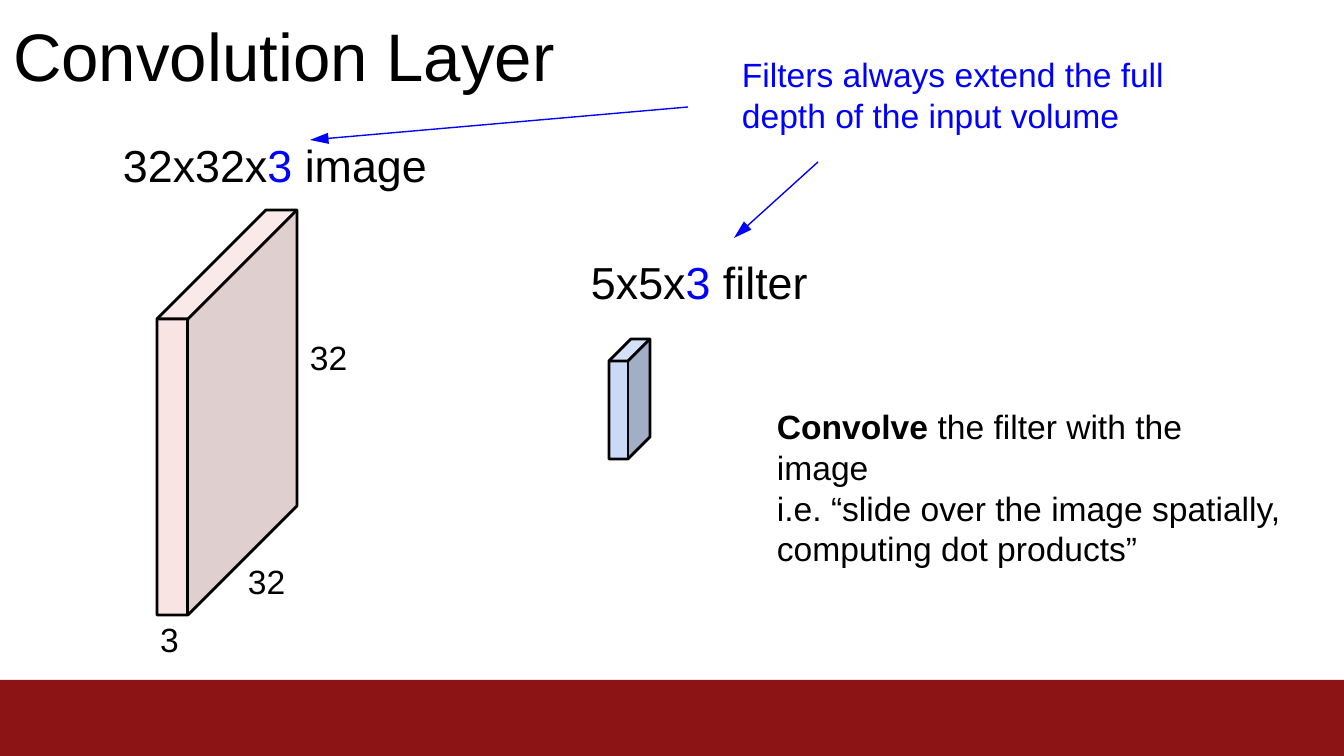
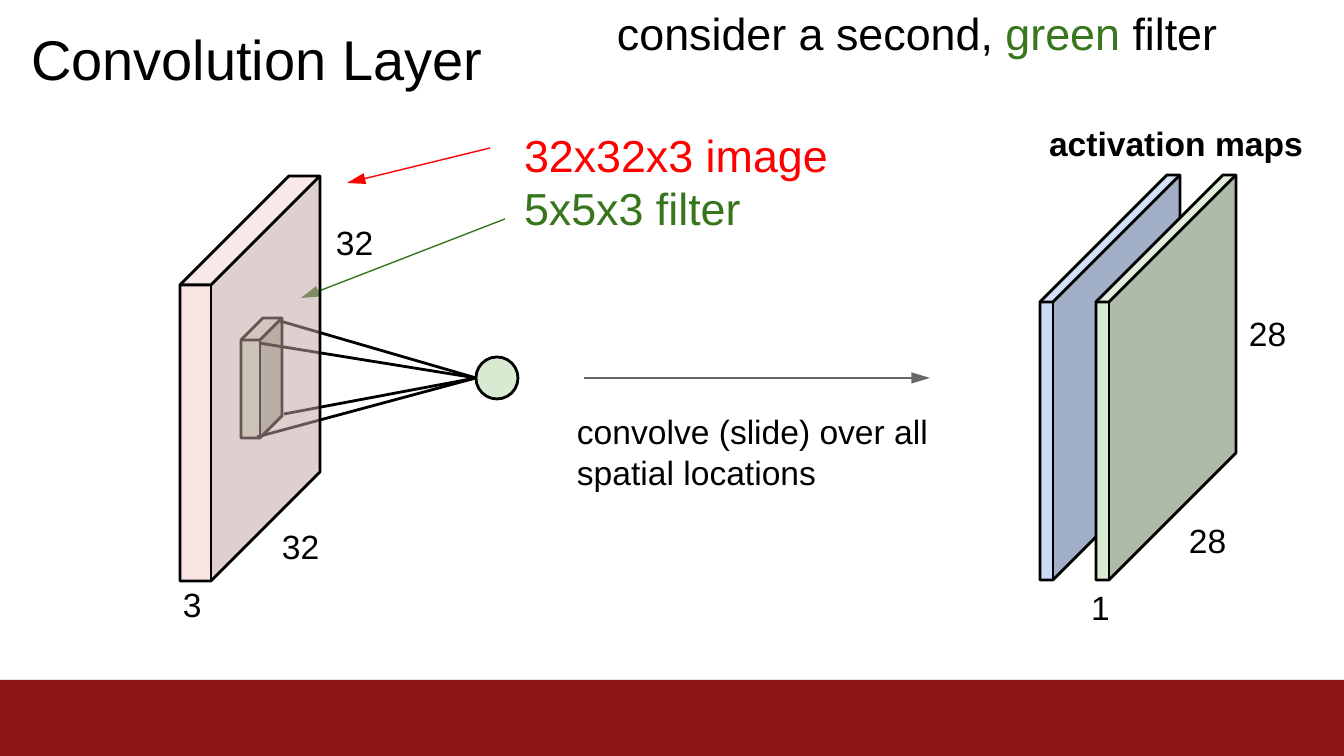
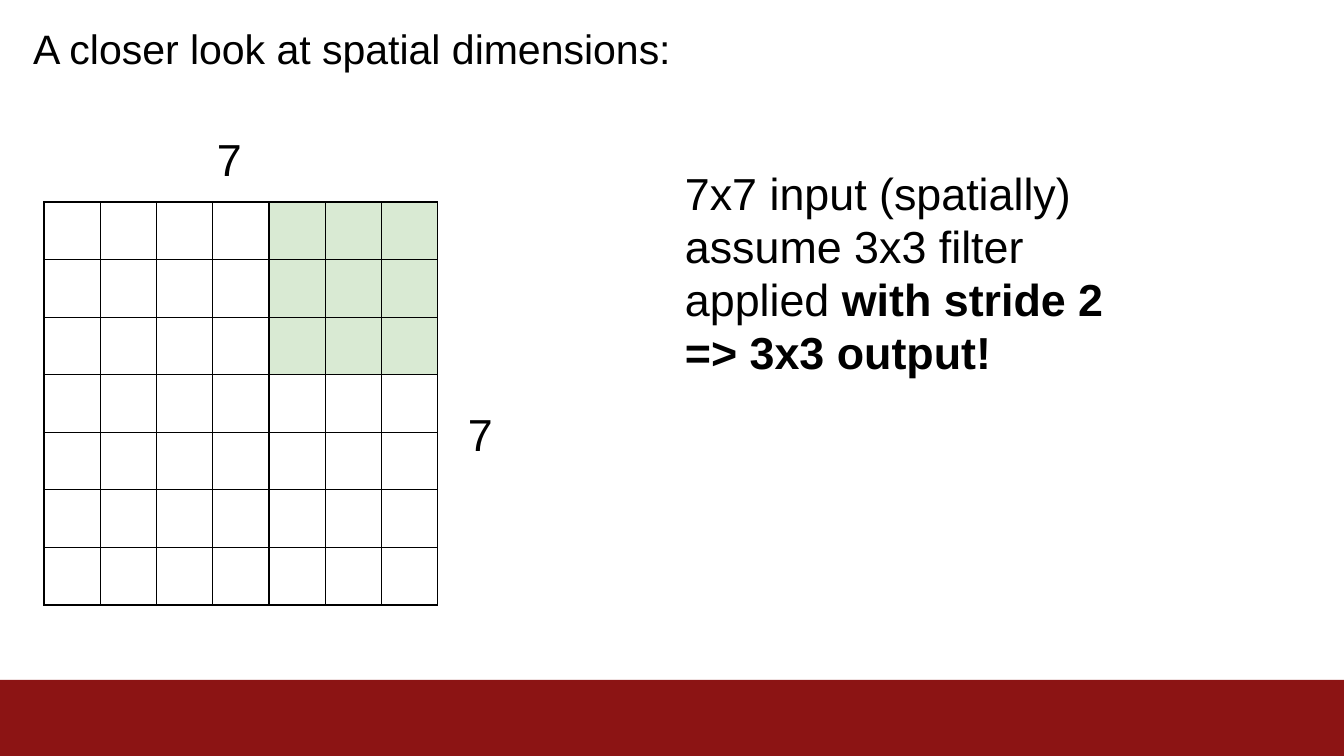
"""Build three slides on convolution layers and the spatial size of their output."""
from lxml.etree import SubElement
from pptx import Presentation
from pptx.dml.color import RGBColor
from pptx.enum.shapes import MSO_CONNECTOR as Connector, MSO_SHAPE as Shape
from pptx.enum.text import MSO_AUTO_SIZE as AutoSize
from pptx.oxml.ns import qn
from pptx.util import Emu, Pt

SCALE = 914400 / 134.4
WIDTH, HEIGHT = 1344, 756
BAND_TOP = 680
FONT = "Arial"
BLACK, BAND, GREY = "000000", "8C1414", "666666"
BLUE, RED, GREEN, PALE_GREEN = "0000FF", "FF0000", "37761C", "D9EAD3"

# Faces are front, side, top, then opacity in percent.
PINK_FACES = ("F4CCCC", "C3A3A3", "F6D6D6", 52)
BLUE_FACES = ("C9DAF7", "A0AEC6", "D3E1F9", 100)
GREEN_FACES = (PALE_GREEN, "ADBBA8", "E0EEDB", 100)

# Blocks are left, top and size of the front face, depth, faces.
IMAGE_SIZE = (31, 296, 109, PINK_FACES)
FILTER_SIZE = (19, 98, 22)
MAP_SIZE = (13, 278, 127)

# Texts are left, top, width, lines, point size, paragraphs of (words, colour, bold) runs.
FILTER_DEPTH = {
    "blocks": [(157, 319, *IMAGE_SIZE), (609, 361, *FILTER_SIZE, BLUE_FACES)],
    "arrows": [(818, 162, 734, 238, BLUE), (688, 107, 310, 140, BLUE)],
    "texts": [
        (13, 14, 560, 1, 36, [[("Convolution Layer",)]]),
        (123, 138, 320, 1, 24, [[("32x32x",), ("3 ", BLUE), ("image",)]]),
        (591, 255, 230, 1, 24, [[("5x5x",), ("3 ", BLUE), ("filter",)]]),
        (742, 54, 432, 2, 18,
         [[("Filters always extend the full depth of the input volume", BLUE)]]),
        (777, 406, 512, 4, 18,
         [[("Convolve ", BLACK, True), ("the filter with the",)],
          [("image",)],
          [("i.e. “slide over the image spatially, computing dot products”",)]]),
        (310, 337, 42, 1, 18, [[("32",)]]),
        (248, 561, 42, 1, 18, [[("32",)]]),
        (160, 619, 23, 1, 18, [[("3",)]]),
    ],
}
SECOND_FILTER = {
    "blocks": [(1040, 302, *MAP_SIZE, BLUE_FACES), (1096, 302, *MAP_SIZE, GREEN_FACES),
               (241, 340, *FILTER_SIZE, GREEN_FACES)],
    "arrows": [(490, 148, 347, 183, RED), (505, 219, 301, 298, GREEN),
               (584, 378, 930, 378, GREY)],
    "texts": [
        (31, 24, 460, 1, 30, [[("Convolution Layer",)]]),
        (617, 6, 610, 1, 24,
         [[("consider a second, ",), ("green ", GREEN), ("filter",)]]),
        (524, 128, 313, 2, 24, [[("32x32x3 image ", RED), ("5x5x3 filter", GREEN)]]),
        (577, 411, 358, 2, 18, [[("convolve (slide) over all spatial locations",)]]),
        (1049, 123, 262, 1, 18, [[("activation maps", BLACK, True)]]),
        (336, 222, 42, 1, 18, [[("32",)]]),
        (282, 526, 42, 1, 18, [[("32",)]]),
        (183, 584, 23, 1, 18, [[("3",)]]),
        (1249, 313, 42, 1, 18, [[("28",)]]),
        (1189, 520, 42, 1, 18, [[("28",)]]),
        (1091, 587, 23, 1, 18, [[("1",)]]),
    ],
}
SPATIAL_SIZE = {
    "blocks": [],
    "arrows": [],
    "texts": [
        (33, 23, 655, 1, 22, [[("A closer look at spatial dimensions:",)]]),
        (685, 166, 430, 4, 24,
         [[("7x7 input (spatially) assume 3x3 filter applied ",),
           ("with stride 2", BLACK, True)],
          [("=> 3x3 output!", BLACK, True)]]),
        (217, 132, 29, 1, 24, [[("7",)]]),
        (468, 407, 29, 1, 24, [[("7",)]]),
    ],
}
FRONT_IMAGE = (180, 285, *IMAGE_SIZE)
NEURON_LEFT, NEURON_MIDDLE, NEURON_SIZE = 476, 378, 42
RAY_STARTS = [(257, 437), (259, 343), (280, 321), (284, 414)]
INPUT_GRID = (44, 202, 394, 403)
CELLS, FILTER_CELLS = 7, 3


def px(length):
    return Emu(round(length * SCALE))


def rgb(code):
    return RGBColor.from_string(code)


def paint(shape, fill=None, opacity=100, line=None):
    shape.shadow.inherit = False
    if fill:
        shape.fill.solid()
        shape.fill.fore_color.rgb = rgb(fill)
        if opacity < 100:
            color = shape.fill._xPr.find(qn("a:solidFill"))[0]
            SubElement(color, qn("a:alpha"), val=str(opacity * 1000))
    else:
        shape.fill.background()
    if line:
        shape.line.color.rgb = rgb(line)
        shape.line.width = Pt(1.5)
    else:
        shape.line.fill.background()


def add_outline(slide, paths):
    (start, *rest), *others = paths
    builder = slide.shapes.build_freeform(*start, scale=SCALE)
    builder.add_line_segments(rest, close=start == rest[-1])
    for first, *following in others:
        builder.move_to(*first)
        builder.add_line_segments(following, close=False)
    return builder.convert_to_shape()


def add_block(slide, left, top, width, height, depth, faces):
    *colors, opacity = faces
    right, bottom = left + width, top + height
    far_left, far_right, far_top = left + depth, right + depth, top - depth
    far_bottom = bottom - depth
    front = [(left, top), (right, top), (right, bottom), (left, bottom), (left, top)]
    side = [(right, top), (far_right, far_top), (far_right, far_bottom),
            (right, bottom), (right, top)]
    lid = [(left, top), (far_left, far_top), (far_right, far_top),
           (right, top), (left, top)]
    for face, color in zip((front, side, lid), colors):
        paint(add_outline(slide, [face]), color, opacity)
    rim = lid[:3] + side[2:4] + [(left, bottom), (left, top)]
    edges = [rim, [(left, top), (right, top), (far_right, far_top)],
             [(right, top), (right, bottom)]]
    paint(add_outline(slide, edges), line=BLACK)


def add_line(slide, x1, y1, x2, y2, color, weight):
    line = slide.shapes.add_connector(Connector.STRAIGHT, px(x1), px(y1), px(x2), px(y2))
    line.line.color.rgb = rgb(color)
    line.line.width = Pt(weight)
    SubElement(line._element.spPr, qn("a:effectLst"))
    return line


def add_arrow(slide, x1, y1, x2, y2, color):
    arrow = add_line(slide, x1, y1, x2, y2, color, 0.75)
    SubElement(arrow.line._get_or_add_ln(), qn("a:tailEnd"),
               type="triangle", w="med", len="lg")


def add_text(slide, left, top, width, lines, size, paragraphs):
    height = lines * size * 2.2
    frame = slide.shapes.add_textbox(px(left), px(top), px(width), px(height)).text_frame
    frame.word_wrap = True
    frame.auto_size = AutoSize.NONE
    frame.margin_left = frame.margin_top = frame.margin_right = frame.margin_bottom = 0
    for index, runs in enumerate(paragraphs):
        paragraph = frame.add_paragraph() if index else frame.paragraphs[0]
        if lines > 1:
            paragraph.line_spacing = Pt(28.5) if size == 24 else 1.01
        for words, *style in runs:
            color, bold = (*style, *(BLACK, False)[len(style):])
            run = paragraph.add_run()
            run.text = words
            run.font.name, run.font.size, run.font.bold = FONT, Pt(size), bold
            run.font.color.rgb = rgb(color)


def add_neuron(slide):
    neuron = slide.shapes.add_shape(
        Shape.OVAL, px(NEURON_LEFT), px(NEURON_MIDDLE - NEURON_SIZE / 2),
        px(NEURON_SIZE), px(NEURON_SIZE))
    paint(neuron, PALE_GREEN, line=BLACK)
    for x, y in RAY_STARTS:
        add_line(slide, x, y, NEURON_LEFT, NEURON_MIDDLE, BLACK, 1.5)


def add_input_grid(slide):
    left, top, width, height = map(px, INPUT_GRID)
    grid = slide.shapes.add_table(CELLS, CELLS, left, top, width, height).table
    grid.first_row = grid.horz_banding = False
    for row in range(CELLS):
        for column in range(CELLS):
            cell = grid.cell(row, column)
            properties = cell._tc.get_or_add_tcPr()
            for side in ("lnL", "lnR", "lnT", "lnB"):
                border = SubElement(properties, qn(f"a:{side}"), w=str(Pt(0.75)))
                fill = SubElement(border, qn("a:solidFill"))
                SubElement(fill, qn("a:srgbClr"), val=BLACK)
            if row < FILTER_CELLS and column >= CELLS - FILTER_CELLS:
                cell.fill.solid()
                cell.fill.fore_color.rgb = rgb(PALE_GREEN)
            else:
                cell.fill.background()


def add_slide(deck, content):
    slide = deck.slides.add_slide(deck.slide_layouts[6])
    band = slide.shapes.add_shape(
        Shape.RECTANGLE, 0, px(BAND_TOP), px(WIDTH), px(HEIGHT - BAND_TOP))
    paint(band, BAND)
    for block in content["blocks"]:
        add_block(slide, *block)
    for arrow in content["arrows"]:
        add_arrow(slide, *arrow)
    for text in content["texts"]:
        add_text(slide, *text)
    return slide


def main():
    deck = Presentation()
    deck.slide_width, deck.slide_height = px(WIDTH), px(HEIGHT)
    add_slide(deck, FILTER_DEPTH)
    second_filter = add_slide(deck, SECOND_FILTER)
    add_neuron(second_filter)
    add_block(second_filter, *FRONT_IMAGE)
    add_input_grid(add_slide(deck, SPATIAL_SIZE))
    deck.save("out.pptx")


if __name__ == "__main__":
    main()
